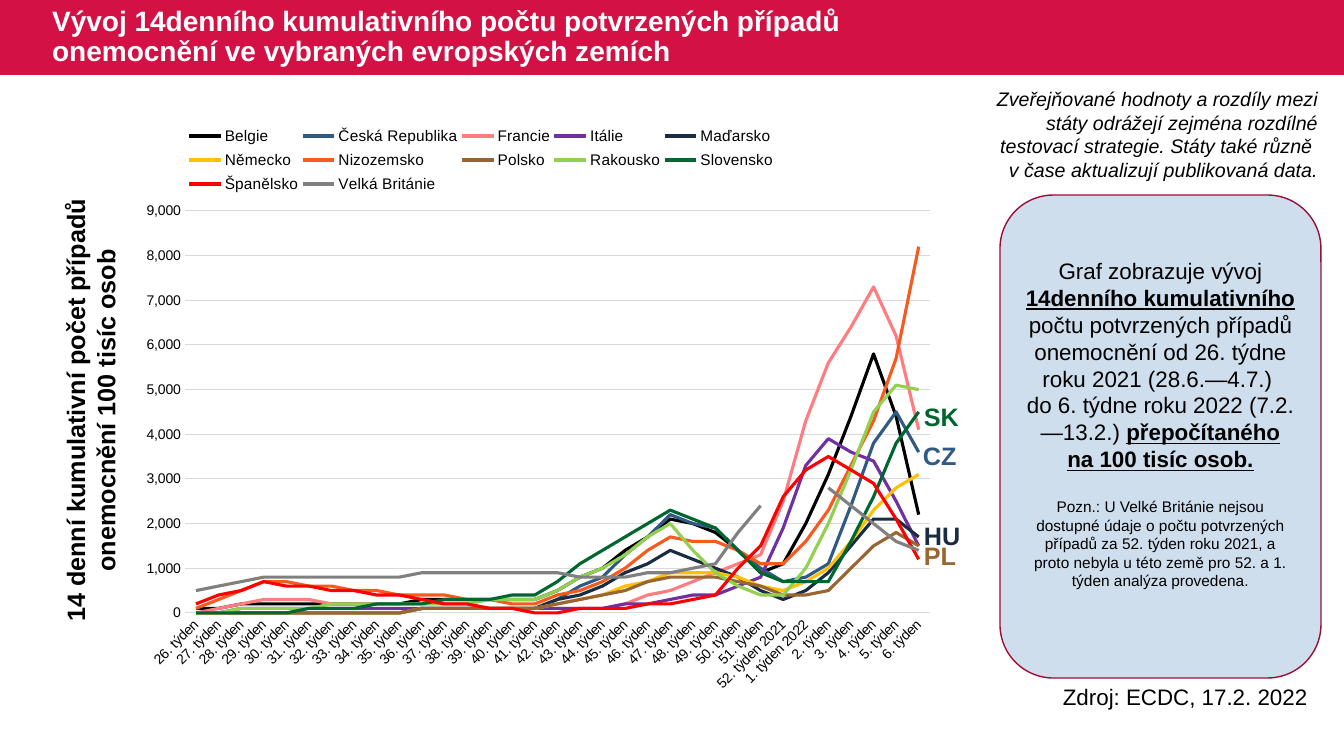
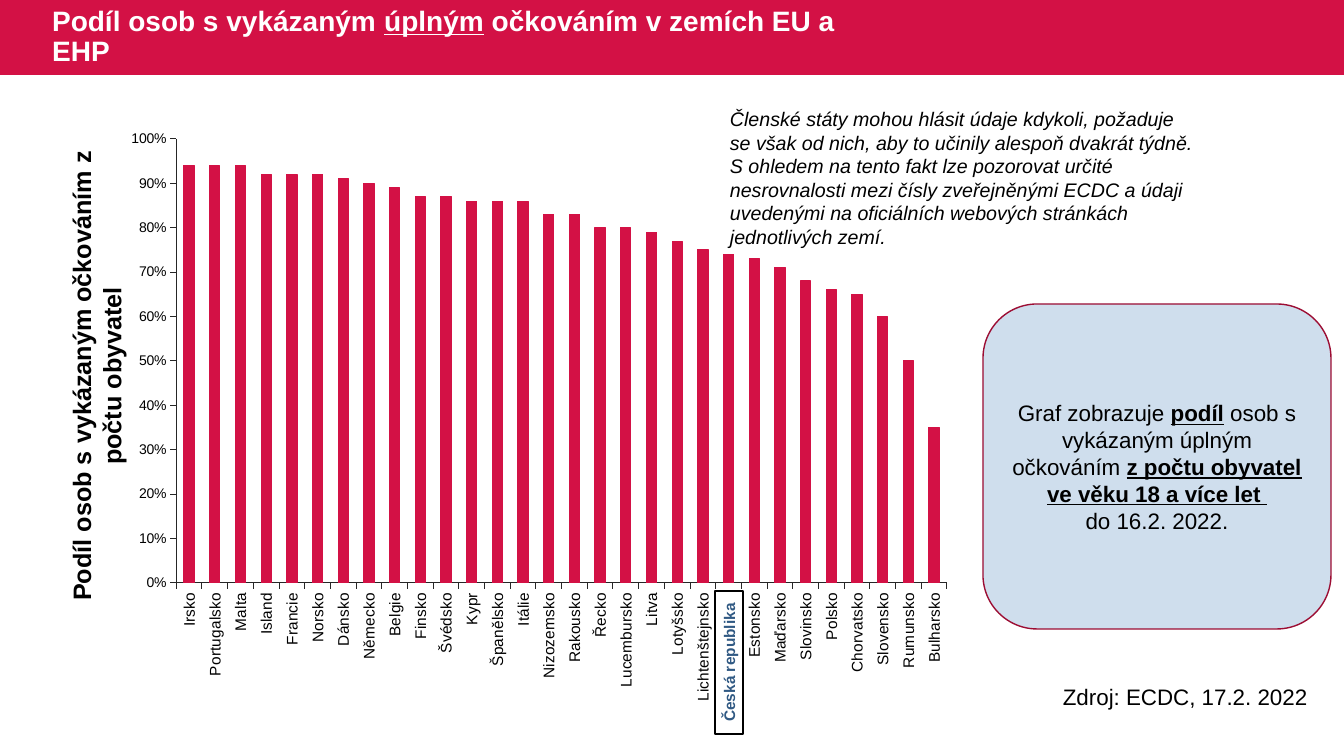
from dataclasses import dataclass

from pptx import Presentation
from pptx import util as u
from pptx.chart.data import CategoryChartData
from pptx.dml.color import RGBColor
from pptx.enum import chart as charts, shapes, text
from pptx.oxml import parse_xml
from pptx.oxml.ns import nsdecls, qn

PX = 914400 / 100.8
LEFT, MID, RIGHT = text.PP_ALIGN.LEFT, text.PP_ALIGN.CENTER, text.PP_ALIGN.RIGHT
WIDE, HIGH, BAND = 1344, 756, 75
CHART = (117, 109, 847, 600)


@dataclass(frozen=True)
class Theme:
    """Colours, font and type sizes of the deck."""
    font: str = "Arial"
    red: str = "D31145"
    edge: str = "9C0D33"
    pale: str = "CFDEED"
    ink: str = "000000"
    white: str = "FFFFFF"
    grid: str = "D9D9D9"
    axis: str = "262626"
    blue: str = "305983"
    navy: str = "182C42"
    green: str = "006630"
    brown: str = "996633"
    title: int = 20
    head: int = 18
    body: int = 16
    aside: int = 14
    small: int = 11
    tick: int = 10


T = Theme()

WEEKS = ([f"{n}. týden" for n in range(26, 52)] + ["52. týden 2021", "1. týden 2022"]
         + [f"{n}. týden" for n in range(2, 7)])

KNOTS = [0, 3, 15, 18, 21, 23, 25, 26, 27, 28, 30, 31, 32]
CASES = [
    ("Belgie", T.ink, [1, 2, 3, 10, 21, 18, 9, 11, 20, 31, 58, 44, 22]),
    ("Česká Republika", T.blue, [0, 0, 1, 8, 22, 19, 10, 7, 8, 11, 38, 45, 36]),
    ("Francie", "FF7C80", [0, 3, 1, 1, 5, 9, 13, 25, 43, 56, 73, 62, 41]),
    ("Itálie", "7030A0", [0, 1, 1, 1, 3, 4, 8, 19, 33, 39, 34, 25, 15]),
    ("Maďarsko", T.navy, [0, 0, 1, 6, 14, 10, 5, 3, 5, 9, 21, 21, 17]),
    ("Německo", "FFC000", [0, 0, 1, 4, 9, 9, 6, 5, 7, 10, 23, 28, 31]),
    ("Nizozemsko", "F75A1C", [1, 7, 2, 7, 17, 16, 11, 11, 16, 23, 43, 57, 82]),
    ("Polsko", T.brown, [0, 0, 1, 4, 8, 8, 6, 4, 4, 5, 15, 18, 15]),
    ("Rakousko", "92D050", [0, 1, 3, 10, 20, 9, 4, 4, 10, 20, 45, 51, 50]),
    ("Slovensko", T.green, [0, 0, 4, 14, 23, 19, 9, 7, 7, 7, 26, 38, 45]),
    ("Španělsko", "FF0000", [2, 7, 0, 1, 2, 4, 15, 26, 32, 35, 29, 21, 12]),
    ("Velká Británie", "808080", [5, 8, 9, 8, 9, 11, 24, None, None, 28, 20, 16, 14]),
]

GROUPS = {
    94: "Irsko,Portugalsko,Malta", 92: "Island,Francie,Norsko", 91: "Dánsko", 90: "Německo",
    89: "Belgie", 87: "Finsko,Švédsko", 86: "Kypr,Španělsko,Itálie",
    83: "Nizozemsko,Rakousko", 80: "Řecko,Lucembursko", 79: "Litva", 77: "Lotyšsko",
    75: "Lichtenštejnsko", 74: "Česká republika", 73: "Estonsko", 71: "Maďarsko",
    68: "Slovinsko", 66: "Polsko", 65: "Chorvatsko", 60: "Slovensko", 50: "Rumunsko",
    35: "Bulharsko",
}
SHARES = {name: share / 100 for share, names in GROUPS.items() for name in names.split(",")}


def px(*vals):
    """Turn pixel lengths into EMU."""
    return [u.Emu(round(v * PX)) for v in vals]


def rgb(code):
    """Make a colour from its hex code."""
    return RGBColor.from_string(code)


def style(font, size, color=T.ink, bold=False, italic=False):
    """Format a font from the theme."""
    font.name, font.size, font.color.rgb = T.font, u.Pt(size), rgb(color)
    font.bold, font.italic = bold, italic


def write(frame, paras, size, align=LEFT, **look):
    """Fill a frame; every second run of a paragraph list is strong."""
    frame.word_wrap = True
    for i, runs in enumerate(paras):
        para = frame.paragraphs[0] if i == 0 else frame.add_paragraph()
        para.alignment = align
        for j, words in enumerate(runs):
            run = para.add_run()
            run.text = words
            style(run.font, size, **look)
            if j % 2:
                run.font.bold = run.font.underline = True


def label(slide, box, paras, size, align=LEFT, **look):
    """Add a plain text box."""
    shape = slide.shapes.add_textbox(*px(*box))
    write(shape.text_frame, paras, size, align, **look)
    return shape


def panel(slide, kind, box, fill, line):
    """Add a flat filled shape; no line colour means no outline."""
    shape = slide.shapes.add_shape(kind, *px(*box))
    shape.shadow.inherit = False
    shape.fill.solid()
    shape.fill.fore_color.rgb = rgb(fill)
    if line:
        shape.line.color.rgb, shape.line.width = rgb(line), u.Pt(1)
    else:
        shape.line.fill.background()
    shape.text_frame.vertical_anchor = text.MSO_ANCHOR.MIDDLE
    return shape


def upright(box):
    """Give the frame that fills the box once turned by 270 degrees."""
    x, y, w, h = box
    return x + (w - h) / 2, y + (h - w) / 2, h, w


def side(slide, box, words):
    """Add the turned caption of a value axis."""
    shape = label(slide, upright(box), [[words]], T.head, MID, bold=True)
    shape.rotation = 270


def note(slide, box, paras):
    """Add the rounded panel that explains a chart."""
    shape = panel(slide, shapes.MSO_SHAPE.ROUNDED_RECTANGLE, box, T.pale, T.edge)
    write(shape.text_frame, paras, T.body, MID)
    return shape.text_frame


def place(node, index, x, y, w, h, inner=False):
    """Set the manual layout of a chart part, in shares of the chart."""
    for old in node.findall(qn("c:layout")):
        node.remove(old)
    target = '<c:layoutTarget val="inner"/>' if inner else ""
    sizes = "".join(f'<c:{k} val="{v}"/>' for k, v in zip("xywh", (x, y, w, h)))
    node.insert(index, parse_xml(
        f'<c:layout {nsdecls("c")}><c:manualLayout>{target}<c:xMode val="edge"/>'
        f'<c:yMode val="edge"/>{sizes}</c:manualLayout></c:layout>'))


def plot(slide, kind, box, cats, rows, area):
    """Add a chart with the given series and plot area."""
    data = CategoryChartData()
    data.categories = cats
    for name, vals in rows:
        data.add_series(name, vals)
    chart = slide.shapes.add_chart(kind, *px(*box), data).chart
    chart.has_title = chart.has_legend = False
    style(chart.font, T.tick)
    chart.plots[0].vary_by_categories = False
    place(chart._chartSpace.chart.plotArea, 0, *area, inner=True)
    return chart


def scale(axis, size, line, tick):
    """Format the labels, line and ticks of an axis."""
    style(axis.tick_labels.font, size)
    axis.major_tick_mark, axis.minor_tick_mark = tick, charts.XL_TICK_MARK.NONE
    axis.has_major_gridlines = False
    if line:
        axis.format.line.color.rgb, axis.format.line.width = rgb(line), u.Pt(0.75)
    else:
        axis.format.line.fill.background()


def spread(axis, top, step, code):
    """Set the range and number format of a value axis."""
    axis.minimum_scale, axis.maximum_scale, axis.major_unit = 0, top, step
    axis.tick_labels.number_format = code
    axis.tick_labels.number_format_is_linked = False


def turn(axis, angle):
    """Turn the labels of an axis."""
    body = axis._element.find(qn("c:txPr")).find(qn("a:bodyPr"))
    body.set("rot", str(angle * 60000))
    body.set("vert", "horz")


def expand(vals):
    """Fill the weeks between the knots in even steps, in hundreds of cases."""
    full = []
    for a, b, low, top in zip(KNOTS, KNOTS[1:], vals, vals[1:]):
        rise = 0 if low is None or top is None else (top - low) / (b - a)
        full += [None if low is None else round(low + rise * k) * 100 for k in range(b - a)]
    return full + [vals[-1] * 100]


def trend(slide, box):
    """Add the line chart of cases by week."""
    rows = [(name, expand(vals)) for name, _, vals in CASES]
    chart = plot(slide, charts.XL_CHART_TYPE.LINE, box, WEEKS, rows, (0.08, 0.17, 0.88, 0.67))
    for line, (_, color, _) in zip(chart.plots[0].series, CASES):
        line.smooth = False
        line.format.line.color.rgb, line.format.line.width = rgb(color), u.Pt(2.25)
    none = charts.XL_TICK_MARK.NONE
    scale(chart.category_axis, T.tick, T.grid, none)
    turn(chart.category_axis, -45)
    axis = chart.value_axis
    scale(axis, T.tick, None, none)
    spread(axis, 9000, 1000, "#,##0")
    grid = axis.major_gridlines.format.line
    grid.color.rgb, grid.width = rgb(T.grid), u.Pt(0.75)
    chart.has_legend = True
    chart.legend.position = charts.XL_LEGEND_POSITION.TOP
    chart.legend.include_in_layout = False
    style(chart.legend.font, T.small)
    place(chart.legend._element, 1, 0.08, 0.02, 0.7, 0.13)


def bars(slide, box):
    """Add the column chart of shares by country."""
    chart = plot(slide, charts.XL_CHART_TYPE.COLUMN_CLUSTERED, box, list(SHARES),
                 [("Series 1", list(SHARES.values()))], (0.07, 0.05, 0.91, 0.74))
    chart.plots[0].gap_width = 150
    form = chart.plots[0].series[0].format
    form.fill.solid()
    form.fill.fore_color.rgb = form.line.color.rgb = rgb(T.red)
    form.line.width = u.Pt(0.75)
    out = charts.XL_TICK_MARK.OUTSIDE
    scale(chart.category_axis, T.small, T.axis, out)
    turn(chart.category_axis, -90)
    scale(chart.value_axis, T.tick, T.axis, out)
    spread(chart.value_axis, 1, 0.1, "0%")


def start(deck, runs):
    """Add a slide with its title and source line."""
    slide = deck.slides.add_slide(deck.slide_layouts[5])
    title = slide.shapes.title
    title.left, title.top, title.width, title.height = px(42, 0, 823, BAND)
    frame = title.text_frame
    write(frame, [runs], T.title, color=T.white, bold=True)
    frame.auto_size = text.MSO_AUTO_SIZE.NONE
    frame.vertical_anchor = text.MSO_ANCHOR.MIDDLE
    frame.paragraphs[0].line_spacing = 0.9
    label(slide, (1053, 678, 285, 37), [["Zdroj: ECDC, 17.2. 2022"]], T.body)
    return slide


def spread_cases(deck):
    """Build the slide on case counts."""
    slide = start(deck, ["Vývoj 14denního kumulativního počtu potvrzených případů "
                         "onemocnění ve vybraných evropských zemích"])
    trend(slide, CHART)
    side(slide, (55, 164, 72, 493),
         "14 denní kumulativní počet případů onemocnění 100 tisíc osob")
    frame = note(slide, (1000, 195, 321, 483), [
        ["Graf zobrazuje vývoj ", "14denního kumulativního",
         " počtu potvrzených případů onemocnění od 26. týdne roku 2021 (28.6.—4.7.) "],
        ["do 6. týdne roku 2022 (7.2.—13.2.) ", "přepočítaného na 100 tisíc osob."],
        ["Pozn.: U Velké Británie nejsou dostupné údaje o počtu potvrzených případů "
         "za 52. týden roku 2021, a proto nebyla u této země pro 52. a 1. týden "
         "analýza provedena."]])
    last = frame.paragraphs[-1]
    last.space_before = u.Pt(18)
    last.runs[0].font.size = u.Pt(T.small)
    frame.margin_bottom = u.Pt(22)
    for words, color, x, y in (("SK", T.green, 914, 396), ("HU", T.navy, 914, 515),
                               ("PL", T.brown, 914, 535), ("CZ", T.blue, 913, 435)):
        label(slide, (x, y, 70, 40), [[words]], T.head, color=color, bold=True)
    label(slide, (977, 82, 351, 105), [
        ["Zveřejňované hodnoty a rozdíly mezi státy odrážejí zejména rozdílné "
         "testovací strategie. Státy také různě "],
        ["v čase aktualizují publikovaná data."]], T.aside, RIGHT, italic=True)


def spread_shots(deck):
    """Build the slide on vaccine shares."""
    slide = start(deck, ["Podíl osob s vykázaným ", "úplným", " očkováním v zemích EU a EHP"])
    side(slide, (61, 123, 72, 506), "Podíl osob s vykázaným očkováním z počtu obyvatel")
    bars(slide, CHART)
    note(slide, (983, 304, 348, 325), [
        ["Graf zobrazuje ", "podíl", " osob s vykázaným úplným očkováním ",
         "z počtu obyvatel ve věku 18 a více let "],
        ["do 16.2. 2022."]])
    mark = panel(slide, shapes.MSO_SHAPE.RECTANGLE, upright((715, 591, 28, 143)),
                 T.white, T.ink)
    mark.rotation = 270
    write(mark.text_frame, [["Česká republika"]], T.small, MID, color=T.blue, bold=True)
    label(slide, (720, 102, 490, 152), [
        ["Členské státy mohou hlásit údaje kdykoli, požaduje se však od nich, aby to učinily "
         "alespoň dvakrát týdně. S ohledem na tento fakt lze pozorovat určité nesrovnalosti "
         "mezi čísly zveřejněnými ECDC a údaji uvedenými na oficiálních webových stránkách "
         "jednotlivých zemí."]], T.aside, italic=True)


def main():
    """Build and save the deck."""
    deck = Presentation()
    deck.slide_width, deck.slide_height = px(WIDE, HIGH)
    spread_cases(deck)
    spread_shots(deck)
    band = panel(deck.slides[0], shapes.MSO_SHAPE.RECTANGLE, (0, 0, WIDE, BAND), T.red, None)
    deck.slide_layouts[5].shapes._spTree.insert(2, band._element)
    deck.save("out.pptx")


if __name__ == "__main__":
    main()
